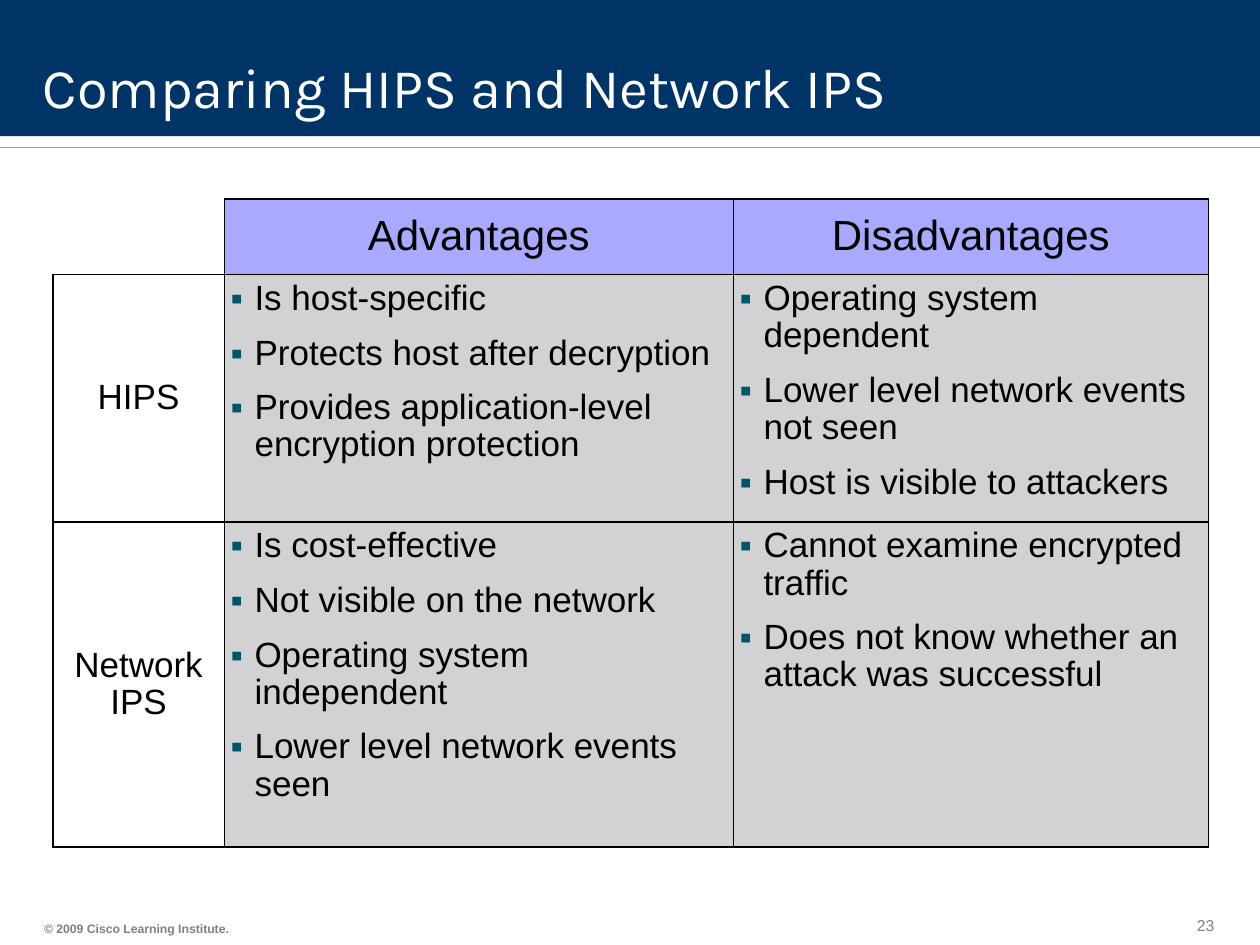
from dataclasses import dataclass

from lxml.etree import SubElement
from pptx import Presentation
from pptx.dml.color import RGBColor
from pptx.enum.shapes import MSO_CONNECTOR, MSO_SHAPE
from pptx.enum.text import MSO_ANCHOR as Anchor, MSO_AUTO_SIZE as AutoSize, PP_ALIGN as Align
from pptx.oxml.ns import qn
from pptx.util import Inches, Pt


@dataclass(frozen=True)
class Theme:
    navy: str = "003366"
    sky: str = "35C3EE"
    white: str = "FFFFFF"
    black: str = "000000"
    grey: str = "808080"
    lilac: str = "A9A9FF"
    silver: str = "D2D2D4"
    teal: str = "005569"
    title_font: str = "Karla"
    body_font: str = "Arial"
    title_size: int = 32
    header_size: int = 24
    body_size: int = 20
    number_size: int = 9
    copyright_size: int = 7


class SlideBuilder:
    def __init__(self, slide, theme):
        self.slide = slide
        self.theme = theme

    def style(self, paragraph, size, color, font=None, bold=False):
        paragraph.font.size = Pt(size)
        for run in paragraph.runs:
            run.font.size = Pt(size)
            run.font.name = font or self.theme.body_font
            run.font.bold = bold
            run.font.color.rgb = RGBColor.from_string(color)

    def band(self, left, top, width, height, color):
        band = self.slide.shapes.add_shape(
            MSO_SHAPE.RECTANGLE, Inches(left), Inches(top), Inches(width), Inches(height))
        band.shadow.inherit = False
        band.fill.solid()
        band.fill.fore_color.rgb = RGBColor.from_string(color)
        band.line.fill.background()

    def rule(self, left, right, y, color, width):
        rule = self.slide.shapes.add_connector(
            MSO_CONNECTOR.STRAIGHT, Inches(left), Inches(y), Inches(right), Inches(y))
        rule.line.color.rgb = RGBColor.from_string(color)
        rule.line.width = Pt(width)
        SubElement(rule._element.spPr, qn("a:effectLst"))

    def text(self, words, left, top, width, height, size, color,
             font=None, bold=False, wrap=False, spacing=1.0):
        box = self.slide.shapes.add_textbox(
            Inches(left), Inches(top), Inches(width), Inches(height))
        frame = box.text_frame
        frame.word_wrap = wrap
        frame.auto_size = AutoSize.NONE if wrap else AutoSize.SHAPE_TO_FIT_TEXT
        frame.vertical_anchor = Anchor.BOTTOM
        frame.margin_left = frame.margin_right = Inches(0.09)
        frame.margin_top = frame.margin_bottom = Inches(0.04)
        frame.text = words
        frame.paragraphs[0].line_spacing = spacing
        self.style(frame.paragraphs[0], size, color, font, bold)

    def table(self, left, top, widths, heights, rows):
        table = self.slide.shapes.add_table(
            len(rows), len(widths), Inches(left), Inches(top),
            Inches(sum(widths)), Inches(sum(heights))).table
        table.first_row = table.horz_banding = False
        for column, width in zip(table.columns, widths):
            column.width = Inches(width)
        for row, height in zip(table.rows, heights):
            row.height = Inches(height)
        for r, row in enumerate(rows):
            for c, content in enumerate(row):
                self.cell(table.cell(r, c), content, r == 0, c == 0)

    def cell(self, cell, content, is_header, is_label):
        theme = self.theme
        is_corner = is_header and is_label
        self.borders(cell, hidden=("lnL", "lnT") if is_corner else ())
        if is_label:
            cell.fill.background()
        else:
            cell.fill.solid()
            cell.fill.fore_color.rgb = RGBColor.from_string(
                theme.lilac if is_header else theme.silver)
        cell.margin_left = cell.margin_right = Inches(0.05)
        cell.margin_top = cell.margin_bottom = Inches(0.05)
        is_list = isinstance(content, list)
        cell.vertical_anchor = Anchor.TOP if is_list else Anchor.MIDDLE
        cell.text_frame.text = "\n".join(content) if is_list else content
        for i, paragraph in enumerate(cell.text_frame.paragraphs):
            paragraph.line_spacing = 0.95
            if is_list:
                self.bullet(paragraph)
            else:
                paragraph.alignment = Align.CENTER
            if i:
                paragraph.space_before = Pt(theme.body_size / 2)
            self.style(paragraph, theme.header_size if is_header else theme.body_size,
                       theme.black)

    def borders(self, cell, hidden):
        properties = cell._tc.get_or_add_tcPr()
        for side in ("lnL", "lnR", "lnT", "lnB"):
            line = SubElement(properties, qn(f"a:{side}"), w=str(Pt(1)))
            if side in hidden:
                SubElement(line, qn("a:noFill"))
            else:
                fill = SubElement(line, qn("a:solidFill"))
                SubElement(fill, qn("a:srgbClr"), val=self.theme.black)

    def bullet(self, paragraph):
        indent = Inches(0.19)
        properties = paragraph._p.get_or_add_pPr()
        properties.set("marL", str(indent))
        properties.set("indent", str(-indent))
        color = SubElement(properties, qn("a:buClr"))
        SubElement(color, qn("a:srgbClr"), val=self.theme.teal)
        SubElement(properties, qn("a:buFont"), typeface=self.theme.body_font)
        SubElement(properties, qn("a:buChar"), char="▪")
        tabs = SubElement(properties, qn("a:tabLst"))
        SubElement(tabs, qn("a:tab"), pos=str(indent), algn="l")


def main():
    theme = Theme()
    deck = Presentation()
    deck.slide_width, deck.slide_height = Inches(10), Inches(7.5)
    builder = SlideBuilder(deck.slides.add_slide(deck.slide_layouts[6]), theme)

    # Title band and footer
    builder.band(0, 0, 10, 1.08, theme.navy)
    builder.text("23", 9.41, 7.22, 0.33, 0.24, theme.number_size, theme.grey)
    builder.text("© 2009 Cisco Learning Institute.", 0.26, 7.26, 1.66, 0.21,
                 theme.copyright_size, theme.grey, bold=True)
    builder.rule(0, 10, 1.17, theme.sky, 0.75)
    builder.text("Comparing HIPS and Network IPS", 0.25, 0.08, 9.33, 0.92,
                 theme.title_size, theme.white, theme.title_font, wrap=True, spacing=0.9)

    # Comparison table
    comparison = [
        ["", "Advantages", "Disadvantages"],
        ["HIPS",
         ["Is host-specific",
          "Protects host after decryption",
          "Provides application-level encryption protection"],
         ["Operating system dependent",
          "Lower level network events not seen",
          "Host is visible to attackers"]],
        ["Network IPS",
         ["Is cost-effective",
          "Not visible on the network",
          "Operating system independent",
          "Lower level network events seen"],
         ["Cannot examine encrypted traffic",
          "Does not know whether an attack was successful"]],
    ]
    builder.table(0.42, 1.58, (1.36, 4.04, 3.77), (0.6, 1.85, 2.58), comparison)

    deck.save("out.pptx")


if __name__ == "__main__":
    main()
